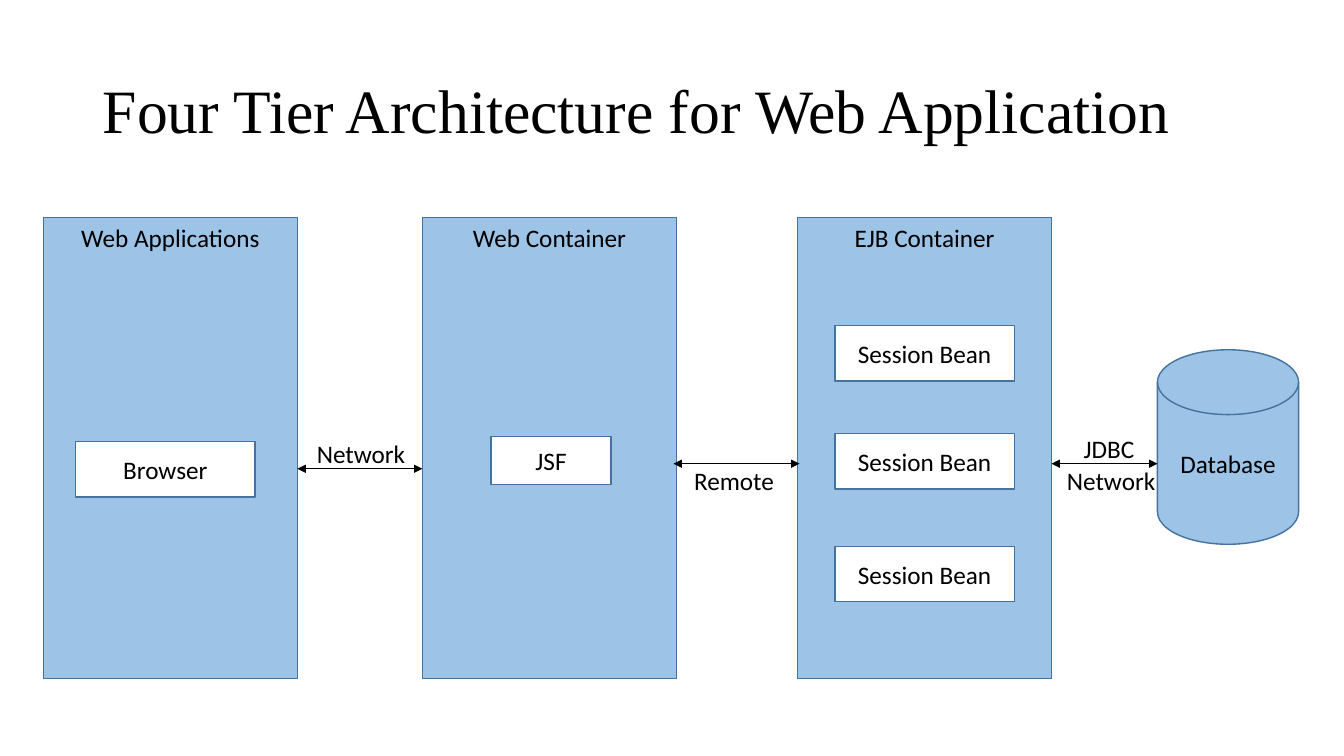
from dataclasses import dataclass

from lxml.etree import SubElement
from pptx import Presentation
from pptx.dml.color import RGBColor
from pptx.enum.shapes import MSO_CONNECTOR, MSO_SHAPE
from pptx.enum.text import MSO_ANCHOR, MSO_AUTO_SIZE, PP_ALIGN
from pptx.oxml.ns import qn
from pptx.util import Inches, Pt


@dataclass(frozen=True)
class Theme:
    tier_fill: RGBColor = RGBColor(0x9D, 0xC3, 0xE6)
    component_fill: RGBColor = RGBColor(0xFF, 0xFF, 0xFF)
    border: RGBColor = RGBColor(0x43, 0x73, 0x9E)
    ink: RGBColor = RGBColor(0, 0, 0)
    title_font: str = "Times New Roman"
    body_font: str = "Calibri"
    title_size: Pt = Pt(44)
    body_size: Pt = Pt(18)
    border_width: Pt = Pt(1)
    arrow_width: Pt = Pt(0.5)


THEME = Theme()


def write(sp, text, font, size, align, anchor):
    tf = sp.text_frame
    tf.text = text
    tf.word_wrap = True
    tf.auto_size = MSO_AUTO_SIZE.NONE
    tf.vertical_anchor = anchor
    p = tf.paragraphs[0]
    p.alignment = align
    p.font.name = font
    p.font.size = size
    p.font.color.rgb = THEME.ink
    return p


def write_body(sp, text, anchor):
    write(sp, text, THEME.body_font, THEME.body_size, PP_ALIGN.CENTER, anchor)


def add_title(s, text):
    sp = s.shapes.title
    sp.left, sp.top = Inches(0.92), Inches(0.4)
    sp.width, sp.height = Inches(11.5), Inches(1.45)
    p = write(sp, text, THEME.title_font, THEME.title_size,
              PP_ALIGN.LEFT, MSO_ANCHOR.MIDDLE)
    p.line_spacing = 0.9


def add_box(s, text, left, top, width, height, fill,
            kind=MSO_SHAPE.RECTANGLE, anchor=MSO_ANCHOR.MIDDLE):
    sp = s.shapes.add_shape(kind, Inches(left), Inches(top),
                            Inches(width), Inches(height))
    sp.shadow.inherit = False
    sp.fill.solid()
    sp.fill.fore_color.rgb = fill
    sp.line.color.rgb = THEME.border
    sp.line.width = THEME.border_width
    write_body(sp, text, anchor)


def add_label(s, text, left, top):
    sp = s.shapes.add_textbox(Inches(left), Inches(top), Inches(1.08), Inches(0.4))
    write_body(sp, text, MSO_ANCHOR.TOP)


def add_arrow(s, start, end, y):
    arrow = s.shapes.add_connector(MSO_CONNECTOR.STRAIGHT, Inches(start), Inches(y),
                                   Inches(end), Inches(y))
    arrow.line.color.rgb = THEME.ink
    arrow.line.width = THEME.arrow_width
    # Arrowheads at both ends, no shadow
    ln = arrow.get_or_add_ln()
    for tag in ("a:headEnd", "a:tailEnd"):
        SubElement(ln, qn(tag), type="triangle")
    SubElement(ln.getparent(), qn("a:effectLst"))


def main():
    prs = Presentation()
    prs.slide_width, prs.slide_height = Inches(13.33), Inches(7.5)
    s = prs.slides.add_slide(prs.slide_layouts[5])
    add_title(s, "Four Tier Architecture for Web Application")

    # Tiers
    for name, left in (("Web Applications", 0.43), ("Web Container", 4.19),
                       ("EJB Container", 7.91)):
        add_box(s, name, left, 2.16, 2.52, 4.57, THEME.tier_fill,
                anchor=MSO_ANCHOR.TOP)
    add_box(s, "Database", 11.48, 3.47, 1.4, 1.93, THEME.tier_fill,
            kind=MSO_SHAPE.FLOWCHART_MAGNETIC_DISK)

    # Components inside the tiers
    add_box(s, "Browser", 0.75, 4.38, 1.78, 0.55, THEME.component_fill)
    add_box(s, "JSF", 4.87, 4.33, 1.19, 0.48, THEME.component_fill)
    for top in (3.23, 4.3, 5.42):
        add_box(s, "Session Bean", 8.28, top, 1.78, 0.55, THEME.component_fill)

    # Links between the tiers
    for start, end, y in ((2.95, 4.19, 4.65), (6.68, 7.93, 4.6), (10.43, 11.48, 4.6)):
        add_arrow(s, start, end, y)
    for text, left, top in (("Network", 3.04, 4.3), ("Remote", 6.74, 4.57),
                            ("JDBC", 10.46, 4.25), ("Network", 10.48, 4.57)):
        add_label(s, text, left, top)

    prs.save("out.pptx")


if __name__ == "__main__":
    main()
